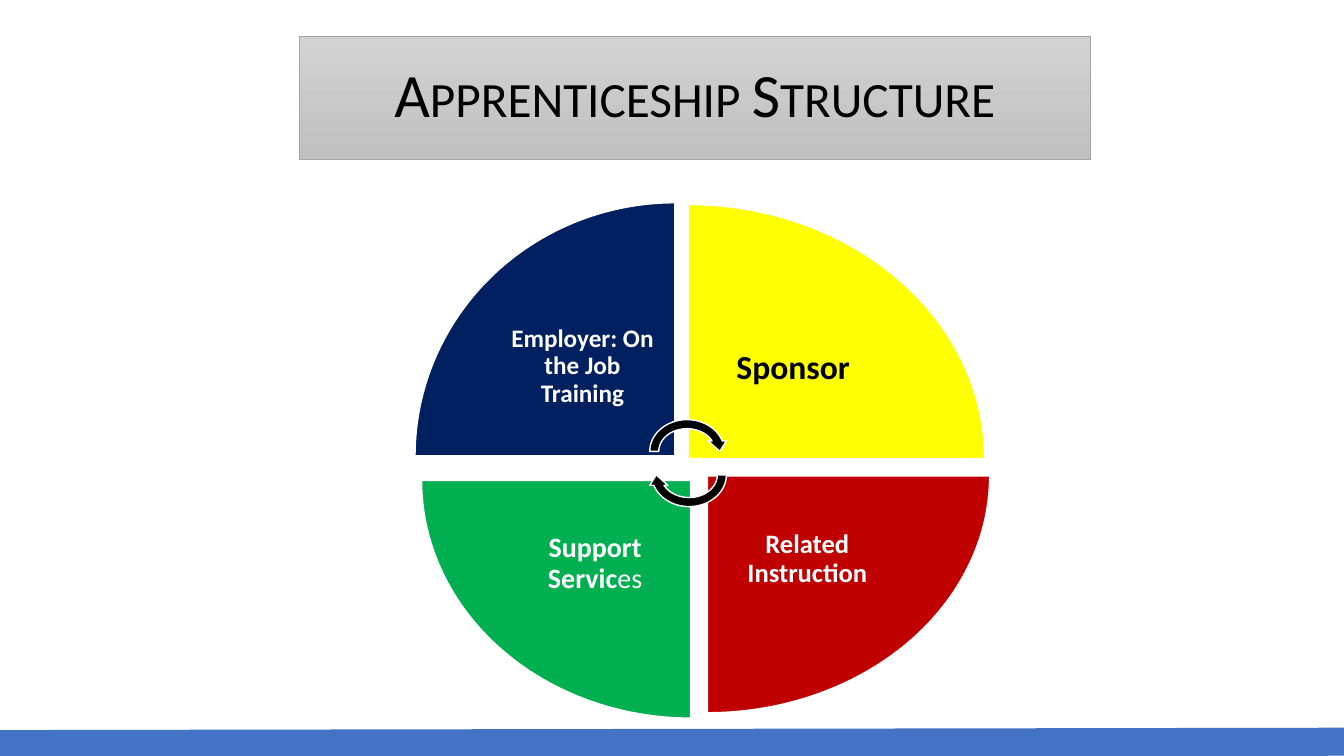
"""Build the apprenticeship structure slide: four quadrants around a cycle."""
from dataclasses import dataclass

from lxml import etree
from pptx import Presentation
from pptx.dml.color import RGBColor
from pptx.enum.shapes import MSO_CONNECTOR, MSO_SHAPE
from pptx.enum.text import MSO_ANCHOR, PP_ALIGN
from pptx.oxml.ns import qn
from pptx.util import Cm, Pt

RECT, WEDGE, ARROW = MSO_SHAPE.RECTANGLE, MSO_SHAPE.PIE_WEDGE, MSO_SHAPE.CIRCULAR_ARROW
STRAIGHT = MSO_CONNECTOR.STRAIGHT
MIDDLE, CENTER = MSO_ANCHOR.MIDDLE, PP_ALIGN.CENTER


@dataclass(frozen=True)
class Theme:
    font: str = "Calibri"
    white: RGBColor = RGBColor(0xFF, 0xFF, 0xFF)
    black: RGBColor = RGBColor(0, 0, 0)
    navy: RGBColor = RGBColor(0x00, 0x20, 0x60)
    yellow: RGBColor = RGBColor(0xFF, 0xFF, 0x00)
    red: RGBColor = RGBColor(0xC0, 0x00, 0x00)
    green: RGBColor = RGBColor(0x00, 0xB0, 0x50)
    blue: RGBColor = RGBColor(0x44, 0x72, 0xC4)
    grey_top: RGBColor = RGBColor(0xD2, 0xD2, 0xD2)
    grey_bottom: RGBColor = RGBColor(0xC0, 0xC0, 0xC0)
    grey_line: RGBColor = RGBColor(0xA5, 0xA5, 0xA5)
    title: int = 44
    sponsor: int = 24
    support: int = 20
    related: int = 19
    employer: int = 18


theme = Theme()


def add_piece(kind, box, angle, color):
    sp = s.shapes.add_shape(kind, *map(Cm, box))
    sp.rotation = angle
    sp.shadow.inherit = False
    sp.fill.solid()
    sp.fill.fore_color.rgb = color
    sp.line.color.rgb = theme.white
    sp.line.width = Pt(1)


def write(tf, runs, size, color):
    tf.word_wrap = True
    tf.vertical_anchor = MIDDLE
    p = tf.paragraphs[0]
    p.alignment = CENTER
    p.line_spacing = 0.9
    for text, bold in runs:
        r = p.add_run()
        r.text = text
        r.font.name = theme.font
        r.font.size = Pt(size)
        r.font.bold = bold
        r.font.color.rgb = color
    return p


prs = Presentation()
prs.slide_width, prs.slide_height = Cm(33.87), Cm(19.05)
s = prs.slides.add_slide(prs.slide_layouts[6])

quadrants = [
    ((10.46, 5.11, 6.55, 6.38), theme.navy, (12.37, 6.99, 4.62, 4.5),
     [("Employer: On the Job Training", True)], theme.employer, theme.white),
    ((17.88, 4.62, 6.4, 7.47), theme.yellow, (17.35, 7.04, 5.28, 4.52),
     [("Sponsor", True)], theme.sponsor, theme.black),
    ((17.83, 11.99, 7.11, 5.97), theme.red, (17.83, 11.99, 5.03, 4.22),
     [("Related Instruction", True)], theme.related, theme.white),
    ((11.02, 11.71, 5.99, 6.78), theme.green, (12.6, 12.09, 4.8, 4.24),
     [("Support Servic", True), ("es", False)], theme.support, theme.white),
]
for i, (wedge, fill, label, runs, size, color) in enumerate(quadrants):
    add_piece(WEDGE, wedge, 90 * i, fill)
    tf = s.shapes.add_textbox(*map(Cm, label)).text_frame
    tf.margin_left = tf.margin_right = tf.margin_top = tf.margin_bottom = Cm(0.02 * size)
    write(tf, runs, size, color)

for left, top, angle in [(16.26, 10.46, 0), (16.31, 11.05, 180)]:
    add_piece(ARROW, (left, top, 2.11, 1.83), angle, theme.black)

title = s.shapes.add_shape(RECT, Cm(7.54), Cm(0.91), Cm(19.94), Cm(3.12))
title.shadow.inherit = False
title.fill.gradient()
title.fill.gradient_angle = 270
for stop, color, position in zip(title.fill.gradient_stops,
                                 (theme.grey_top, theme.grey_bottom), (0, 1)):
    stop.color.rgb = color
    stop.position = position
title.line.color.rgb = theme.grey_line
title.line.width = Pt(0.5)
p = write(title.text_frame, [("Apprenticeship Structure", False)], theme.title, theme.black)
p.runs[0].font._element.set("cap", "small")

footer = s.shapes.add_connector(STRAIGHT, 0, Cm(18.75), prs.slide_width, Cm(18.69))
footer.line.color.rgb = theme.blue
footer.line.width = Pt(20)
etree.SubElement(footer._element.spPr, qn("a:effectLst"))

prs.save("out.pptx")
